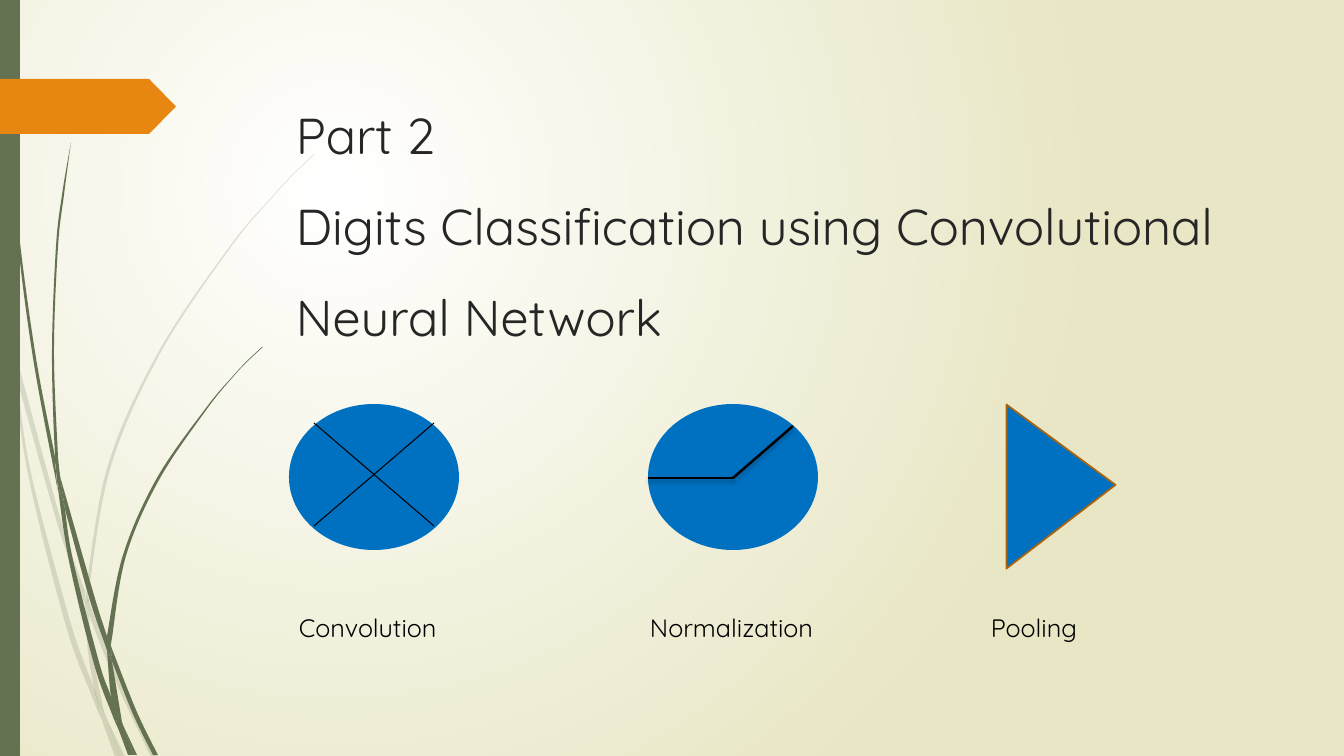
from lxml.etree import SubElement
from pptx import Presentation
from pptx.dml.color import RGBColor
from pptx.enum.shapes import MSO_CONNECTOR, MSO_SHAPE
from pptx.oxml.ns import qn
from pptx.util import Emu, Pt

WHITE = RGBColor(0xFF, 0xFF, 0xFF)
CREAM = RGBColor(0xE8, 0xE6, 0xC4)
OLIVE = RGBColor(0x64, 0x72, 0x52)
ORANGE = RGBColor(0xE7, 0x87, 0x12)
BROWN = RGBColor(0xAB, 0x64, 0x0D)
BLUE = RGBColor(0x00, 0x70, 0xC0)
BLACK = RGBColor(0x00, 0x00, 0x00)
CHARCOAL = RGBColor(0x26, 0x26, 0x26)

PALE_BLADES = [
    ([(11, 353), (9, 325), (0, 284)], [(0, 301), (10, 347), (11, 353)]),
    ([(14, 348), (62, 524), (85, 591)], [(85, 604), (58, 526), (17, 379)]),
    ([(89, 601), (93, 612), (128, 698), (156, 757)],
     [(151, 757), (124, 700), (111, 671), (89, 615)]),
    ([(106, 717), (125, 757)], [(120, 757)]),
    ([(11, 353), (28, 474), (66, 626), (93, 699), (102, 720)],
     [(100, 713), (94, 688), (71, 624), (31, 473), (17, 379)]),
    ([(85, 604), (88, 651), (94, 688), (97, 698), (106, 717)],
     [(104, 712), (92, 651), (89, 615)]),
    ([(314, 154), (291, 176), (270, 199), (230, 246), (159, 351), (108, 465), (86, 589)],
     [(89, 601), (89, 589), (111, 466), (161, 352), (231, 247), (270, 200), (292, 176),
      (314, 155)]),
    ([(102, 720), (115, 757)], [(120, 757)]),
    ([(86, 591), (89, 601), (89, 615)], [(89, 613), (85, 604)]),
    ([(94, 688), (97, 698), (106, 717), (120, 757)], [(102, 720), (100, 713)]),
]
DARK_BLADES = [
    ([(3, 0), (4, 48), (7, 111), (17, 235), (33, 358), (56, 481), (57, 485)],
     [(55, 461), (55, 457), (36, 358), (19, 234), (8, 110), (5, 48), (4, 0)]),
    ([(60, 476), (94, 595), (107, 636)], [(107, 650), (89, 597), (65, 509)]),
    ([(111, 646), (114, 654), (137, 712), (158, 755)], [(153, 755), (133, 714), (112, 661)]),
    ([(57, 481), (69, 561), (94, 664), (112, 714), (118, 728)],
     [(117, 723), (111, 697), (99, 662), (73, 560), (65, 509)]),
    ([(71, 142), (62, 195), (56, 247), (52, 352), (55, 453), (60, 476)],
     [(58, 457), (54, 352), (58, 247), (64, 195), (71, 142)]),
    ([(123, 725), (137, 755)], [(134, 755)]),
    ([(55, 453), (60, 476), (65, 509)], [(57, 481), (55, 457)]),
    ([(262, 347), (247, 361), (233, 376), (206, 408), (157, 478), (123, 555), (107, 636)],
     [(111, 646), (112, 638), (126, 556), (159, 480), (207, 409), (233, 377), (247, 362),
      (263, 347)]),
    ([(118, 728), (128, 755)], [(132, 755)]),
    ([(107, 650), (111, 697), (117, 712), (123, 725)], [(122, 722), (112, 661)]),
    ([(107, 636), (111, 646), (112, 661)], [(110, 656), (107, 650)]),
    ([(111, 697), (117, 712), (123, 725), (134, 755)], [(131, 755), (118, 728), (117, 723)]),
]
STAGES = [("Convolution", 299), ("Normalization", 650), ("Pooling", 991)]


def px(length):
    """Turn pixels into EMU."""
    return Emu(round(length * 914400 / 100.8))


def bend(segments, points):
    """Turn straight segments into Bezier curves that pass smoothly through the points."""
    padded = [points[0], *points, points[-1]]
    for segment, a, b, c, d in zip(segments, padded, padded[1:], padded[2:], padded[3:]):
        first = [q + (r - p) / 6 for p, q, r in zip(a, b, c)]
        second = [q - (r - p) / 6 for p, q, r in zip(b, c, d)]
        segment.tag = qn("a:cubicBezTo")
        for index, (x, y) in enumerate((first, second)):
            control = SubElement(segment, qn("a:pt"), x=str(round(x)), y=str(round(y)))
            segment.insert(index, control)


class SlidePainter:
    """Draw styled elements on one slide."""

    font = "Quicksand"

    def __init__(self, slide):
        self.slide = slide
        self.shapes = slide.shapes

    def background(self, center, edge):
        """Fill the background with a radial gradient."""
        fill = self.slide.background.fill
        fill.gradient()
        for stop, color in zip(fill.gradient_stops, (center, edge)):
            stop.color.rgb = color
        gradient = next(self.slide.element.iter(qn("a:gradFill")))
        gradient.remove(gradient.find(qn("a:lin")))
        radial = SubElement(gradient, qn("a:path"), path="circle")
        SubElement(radial, qn("a:fillToRect"), l="50000", t="50000", r="100000", b="100000")

    def paint(self, shape, fill, line=None):
        """Set the fill and outline of a shape."""
        shape.shadow.inherit = False
        shape.fill.solid()
        shape.fill.fore_color.rgb = fill
        if line is None:
            shape.line.fill.background()
        else:
            shape.line.color.rgb = line
            shape.line.width = Pt(1.25)

    def shape(self, kind, left, top, width, height, fill, line=None, adjustment=None, rotation=0):
        """Add a preset shape."""
        shape = self.shapes.add_shape(kind, px(left), px(top), px(width), px(height))
        self.paint(shape, fill, line)
        shape.rotation = rotation
        if adjustment is not None:
            shape.adjustments[0] = adjustment

    def blade(self, outward, back, opacity=100):
        """Add a curved piece of grass between two edges."""
        points = [(px(x), px(y)) for x, y in outward + back]
        builder = self.shapes.build_freeform(*points[0])
        builder.add_line_segments(points[1:], close=True)
        shape = builder.convert_to_shape()
        outline = next(shape.element.spPr.iter(qn("a:path")))
        segments = list(outline.iter(qn("a:lnTo")))
        local = [(int(point.get("x")), int(point.get("y"))) for point in outline.iter(qn("a:pt"))]
        turn = len(outward)
        bend(segments[:turn - 1], local[:turn])
        bend(segments[turn:], local[turn:len(points)])
        self.paint(shape, OLIVE)
        if opacity < 100:
            color = next(shape.element.spPr.iter(qn("a:srgbClr")))
            SubElement(color, qn("a:alpha"), val=str(opacity * 1000))

    def line(self, start, end, width, shadow=False):
        """Add a straight black line."""
        ends = [px(value) for value in (*start, *end)]
        line = self.shapes.add_connector(MSO_CONNECTOR.STRAIGHT, *ends)
        line.line.color.rgb = BLACK
        line.line.width = Pt(width)
        effects = SubElement(line.element.spPr, qn("a:effectLst"))
        if shadow:
            outer = SubElement(effects, qn("a:outerShdw"), blurRad=str(Pt(3)),
                               dist=str(Pt(2)), dir="5400000", rotWithShape="0")
            color = SubElement(outer, qn("a:srgbClr"), val=str(BLACK))
            SubElement(color, qn("a:alpha"), val="25000")

    def text(self, left, top, width, height, lines, size, color, spacing=1.0):
        """Add a text box with one paragraph for each line."""
        frame = self.shapes.add_textbox(px(left), px(top), px(width), px(height)).text_frame
        frame.word_wrap = True
        frame.margin_left = frame.margin_right = frame.margin_top = frame.margin_bottom = 0
        for index, line in enumerate(lines):
            paragraph = frame.add_paragraph() if index else frame.paragraphs[0]
            paragraph.line_spacing = spacing
            run = paragraph.add_run()
            run.text = line
            run.font.name = self.font
            run.font.size = Pt(size)
            run.font.color.rgb = color


def main():
    """Build and save the slide."""
    presentation = Presentation()
    presentation.slide_width, presentation.slide_height = px(1344), px(756)
    painter = SlidePainter(presentation.slides.add_slide(presentation.slide_layouts[6]))

    painter.background(WHITE, CREAM)
    for edges in PALE_BLADES:
        painter.blade(*edges, opacity=20)
    for edges in DARK_BLADES:
        painter.blade(*edges)
    painter.shape(MSO_SHAPE.RECTANGLE, 0, 0, 20, 756, OLIVE)
    painter.shape(MSO_SHAPE.PENTAGON, 0, 79, 176, 55, ORANGE, adjustment=0.49)

    title = ["Part 2", "Digits Classification using Convolutional Neural Network"]
    painter.text(296, 74, 973, 460, title, 36, CHARCOAL, spacing=1.5)

    for left in (289, 648):
        painter.shape(MSO_SHAPE.OVAL, left, 404, 170, 146, BLUE)
    painter.line((314, 423), (434, 526), 0.75)
    painter.line((314, 526), (434, 423), 0.75)
    painter.line((648, 478), (733, 478), 1.75, shadow=True)
    painter.line((733, 478), (793, 426), 1.75, shadow=True)
    painter.shape(MSO_SHAPE.ISOSCELES_TRIANGLE, 979, 432, 164, 109, BLUE, BROWN,
                  adjustment=0.49, rotation=90)
    for name, left in STAGES:
        painter.text(left, 612, 180, 32, [name], 18, BLACK)

    presentation.save("out.pptx")


if __name__ == "__main__":
    main()
